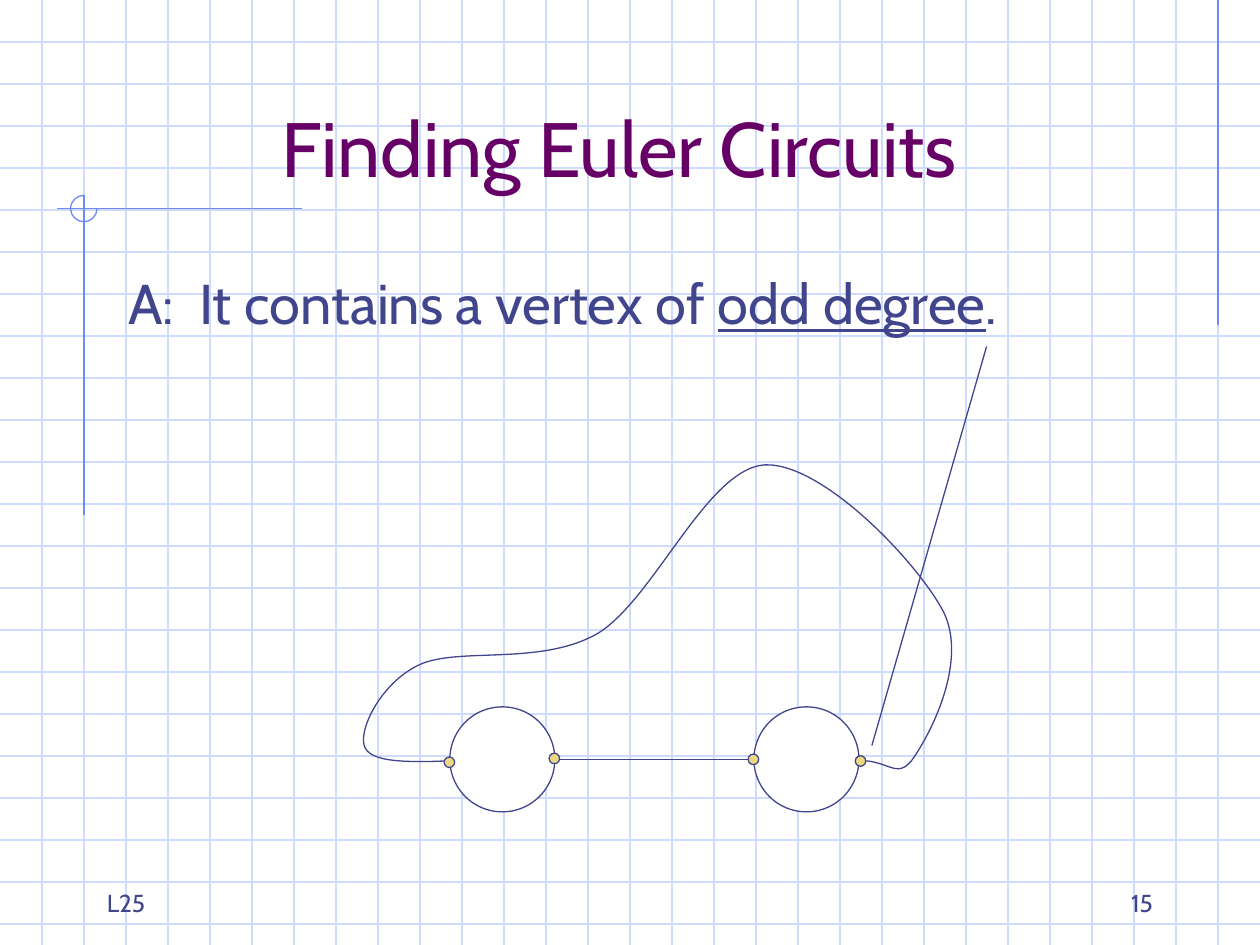
import pptx
import pptx.dml.color
import pptx.enum.shapes
import pptx.enum.text
import pptx.oxml.ns
import pptx.util
from lxml import etree

COLS, ROWS = 30, 22.5
GRID, ACCENT, INK = "CFDBFD", "6F89F7", "40458C"
PLUM, GOLD, WHITE = "660066", "ECD882", "FFFFFF"
FONT = "Cabin"
ALIGN = pptx.enum.text.PP_ALIGN
ANCHOR = pptx.enum.text.MSO_ANCHOR

CAR_BODY = [
    (11.22, 18.09), (10.05, 18.15), (8.91, 18.21), (8.7, 17.82),
    (8.49, 17.46), (9.03, 16.29), (9.96, 15.84),
    (10.89, 15.39), (12.84, 15.87), (14.22, 15.09),
    (15.57, 14.28), (16.83, 11.16), (18.21, 11.07),
    (19.59, 11.01), (21.87, 13.41), (22.47, 14.58),
    (23.04, 15.75), (22.17, 17.46), (21.72, 18.09),
    (21.24, 18.72), (21.03, 17.7), (19.71, 18.33),
]
CORNER_ARC = [
    (2, 4.65), (1.83, 4.65), (1.68, 4.79), (1.68, 4.97),
    (1.68, 5.14), (1.83, 5.28), (2, 5.28),
    (2.17, 5.28), (2.31, 5.14), (2.31, 4.97),
]


def cell(n):
    return pptx.util.Inches(n / 3)


def rgb(value):
    return pptx.dml.color.RGBColor.from_string(value)


def style_line(shape, color):
    shape.line.color.rgb = rgb(color)
    shape.line.width = pptx.util.Pt(0.75)


def add_line(s, x1, y1, x2, y2, color):
    c = s.shapes.add_connector(pptx.enum.shapes.MSO_CONNECTOR.STRAIGHT,
                               cell(x1), cell(y1), cell(x2), cell(y2))
    style_line(c, color)
    etree.SubElement(c._element.spPr, pptx.oxml.ns.qn("a:effectLst"))


def add_curve(s, points, color):
    start, *rest = [(cell(x), cell(y)) for x, y in points]
    builder = s.shapes.build_freeform(*start)
    builder.add_line_segments(rest, close=False)
    sp = builder.convert_to_shape()
    segments = sp._element.xpath(".//a:lnTo")
    for i in range(0, len(segments), 3):
        bezier = etree.Element(pptx.oxml.ns.qn("a:cubicBezTo"))
        segments[i].addprevious(bezier)
        for segment in segments[i:i + 3]:
            bezier.append(segment[0])
            segment.getparent().remove(segment)
    sp.fill.background()
    sp.shadow.inherit = False
    style_line(sp, color)


def add_circle(s, x, y, diameter, fill):
    sp = s.shapes.add_shape(pptx.enum.shapes.MSO_SHAPE.OVAL,
                            cell(x - diameter / 2), cell(y - diameter / 2),
                            cell(diameter), cell(diameter))
    sp.shadow.inherit = False
    sp.fill.solid()
    sp.fill.fore_color.rgb = rgb(fill)
    style_line(sp, INK)


def place(sp, left, top, width, height):
    sp.left, sp.top = cell(left), cell(top)
    sp.width, sp.height = cell(width), cell(height)


def write(sp, runs, size, color, align, anchor):
    tf = sp.text_frame
    tf.word_wrap = True
    tf.auto_size = pptx.enum.text.MSO_AUTO_SIZE.NONE
    tf.vertical_anchor = anchor
    p = tf.paragraphs[0]
    p.alignment = align
    p.space_before = pptx.util.Pt(0)
    for text, underline in runs:
        r = p.add_run()
        r.text = text
        r.font.name = FONT
        r.font.size = pptx.util.Pt(size)
        r.font.color.rgb = rgb(color)
        if underline:
            r.font.underline = True
    return p


def add_background(s):
    for row in range(1, int(ROWS) + 1):
        add_line(s, 0, row, COLS, row, GRID)
    for col in range(1, COLS):
        add_line(s, col, 0, col, ROWS, GRID)
    add_line(s, 29, 0, 29, 7.74, ACCENT)
    add_line(s, 7.2, 4.97, 1.35, 4.97, ACCENT)
    add_line(s, 2, 4.65, 2, 12.27, ACCENT)
    add_curve(s, CORNER_ARC, ACCENT)


def add_footer(s, left, text, align):
    sp = s.shapes.add_textbox(cell(left), cell(20.5), cell(6.25), cell(1.5))
    write(sp, [(text, False)], 14, INK, align, ANCHOR.BOTTOM)


def add_title(s):
    sp = s.shapes.title
    sp.element.getparent().append(sp.element)
    place(sp, 2, 1, 25.5, 3.75)
    write(sp, [("Finding Euler Circuits", False)], 44, PLUM,
          ALIGN.CENTER, ANCHOR.BOTTOM)


def add_body(s):
    sp = s.placeholders[1]
    sp.element.getparent().append(sp.element)
    place(sp, 2.75, 6.25, 25.5, 13.5)
    runs = [("A:  It contains a vertex of ", False),
            ("odd degree", True), (".", False)]
    p = write(sp, runs, 32, INK, ALIGN.LEFT, ANCHOR.TOP)
    pPr = p._p.get_or_add_pPr()
    indent = pptx.util.Inches(0.38)
    pPr.set("marL", str(indent))
    pPr.set("indent", str(-indent))
    etree.SubElement(pPr, pptx.oxml.ns.qn("a:buNone"))


def add_car(s):
    add_curve(s, CAR_BODY, INK)
    add_line(s, 12.72, 18.08, 18.21, 18.08, INK)
    for x in (19.2, 11.96):
        add_circle(s, x, 18.08, 2.5, WHITE)
    for x, y in ((17.94, 18.08), (13.2, 18.06), (20.49, 18.12), (10.7, 18.15)):
        add_circle(s, x, y, 0.25, GOLD)
    add_line(s, 23.49, 8.25, 20.76, 17.75, INK)


def main():
    prs = pptx.Presentation()
    prs.slide_width, prs.slide_height = cell(COLS), cell(ROWS)
    s = prs.slides.add_slide(prs.slide_layouts[1])
    add_background(s)
    add_footer(s, 2.25, "L25", ALIGN.LEFT)
    add_footer(s, 21.5, "15", ALIGN.RIGHT)
    add_title(s)
    add_body(s)
    add_car(s)
    prs.save("out.pptx")


if __name__ == "__main__":
    main()
